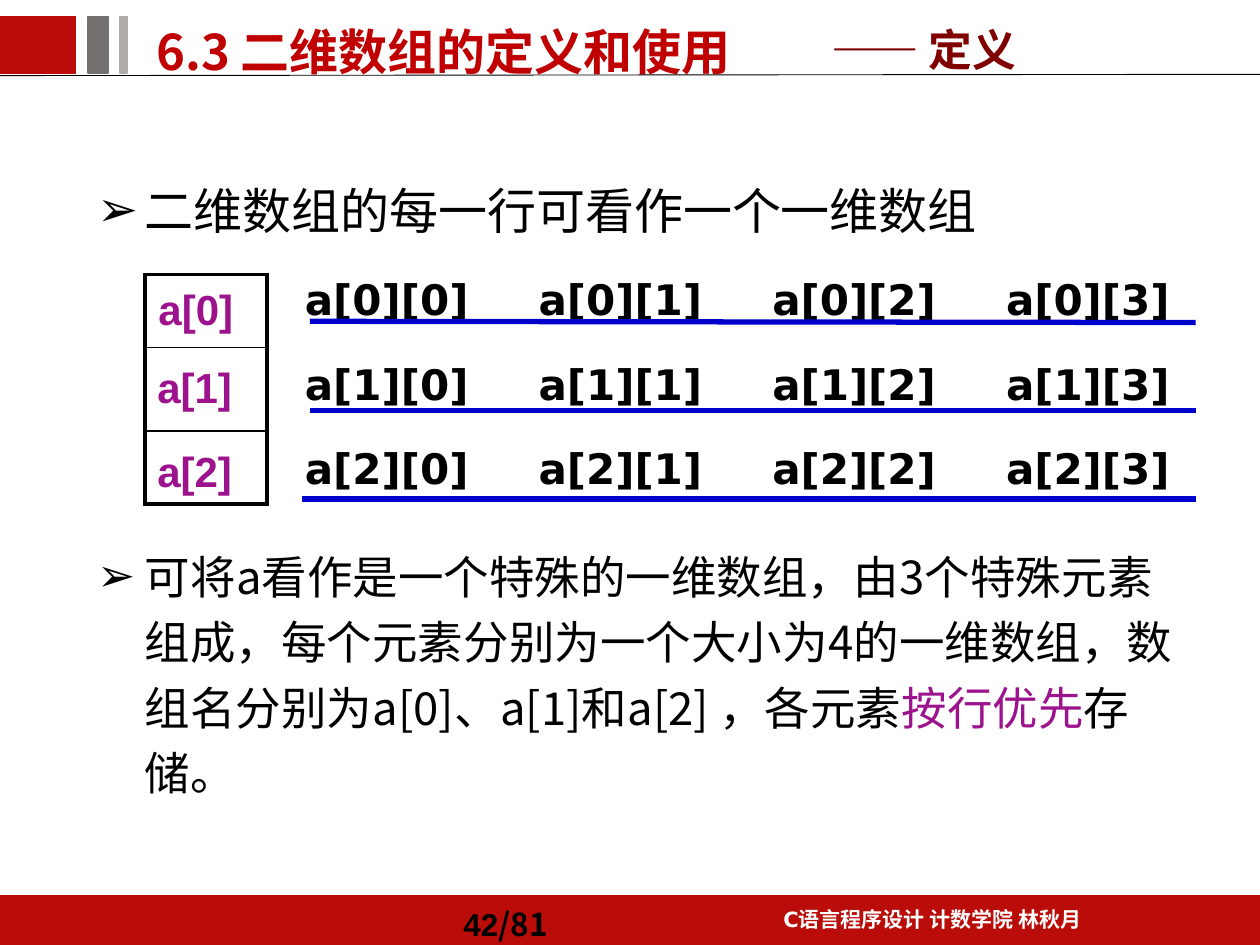
from typing import NamedTuple

from lxml import etree
from pptx import Presentation
from pptx.dml.color import RGBColor
from pptx.enum.shapes import MSO_CONNECTOR, MSO_SHAPE
from pptx.enum.text import MSO_ANCHOR, MSO_AUTO_SIZE, PP_ALIGN
from pptx.oxml.ns import qn
from pptx.util import Inches, Pt

TOP, MIDDLE, BOTTOM = MSO_ANCHOR.TOP, MSO_ANCHOR.MIDDLE, MSO_ANCHOR.BOTTOM
LEFT, CENTER = PP_ALIGN.LEFT, PP_ALIGN.CENTER
RECT, STRAIGHT = MSO_SHAPE.RECTANGLE, MSO_CONNECTOR.STRAIGHT
CJK, ARIAL, DEJAVU = "Noto Sans CJK SC", "Arial", "DejaVu Sans"
RED, BLACK, PURPLE, BLUE = "BA0D09", "000000", "9D138D", "0000CC"
NO_STYLE = "{2D5ABB26-0587-4C30-8999-92F81FD0307C}"


class Block(NamedTuple):
    box: tuple
    color: str


class Rule(NamedTuple):
    start: tuple
    end: tuple
    color: str
    width: float


class Label(NamedTuple):
    text: str
    box: tuple
    fmt: dict


def rgb(color: str) -> RGBColor:
    return RGBColor.from_string(color)


def write(p, text: str, size=24, font=ARIAL, color=BLACK, bold=True,
          align=LEFT, spacing=1.2, before=0) -> None:
    """Append one formatted run to a paragraph."""
    p.alignment, p.line_spacing, p.space_before = align, spacing, Pt(before)
    r = p.add_run()
    r.text = text
    f = r.font
    f.size, f.name, f.bold = Pt(size), font, bold
    f.color.rgb = rgb(color)
    etree.SubElement(r._r.get_or_add_rPr(), qn("a:ea")).set("typeface", CJK)


def place(sp, box: tuple) -> None:
    sp.left, sp.top, sp.width, sp.height = map(Inches, box)


def prepare(tf, anchor=TOP) -> None:
    tf.word_wrap, tf.auto_size = True, MSO_AUTO_SIZE.NONE
    tf.vertical_anchor = anchor


def add_label(s, label: Label, anchor=TOP):
    tf = s.shapes.add_textbox(*map(Inches, label.box)).text_frame
    prepare(tf, anchor)
    write(tf.paragraphs[0], label.text, **label.fmt)
    return tf.paragraphs[0]


def add_block(s, block: Block) -> None:
    sp = s.shapes.add_shape(RECT, *map(Inches, block.box))
    sp.shadow.inherit = False
    sp.fill.solid()
    sp.fill.fore_color.rgb = sp.line.color.rgb = rgb(block.color)
    sp.line.width = Pt(1)


def add_rule(s, rule: Rule) -> None:
    line = s.shapes.add_connector(STRAIGHT, *map(Inches, rule.start + rule.end))
    line.line.color.rgb = rgb(rule.color)
    line.line.width = Pt(rule.width)
    etree.SubElement(line._element.spPr, qn("a:effectLst"))


def add_grid(s, box: tuple, heights: list, cols: int):
    """Add a table without style, with equal columns."""
    table = s.shapes.add_table(len(heights), cols, *map(Inches, box)).table
    table.first_row = table.horz_banding = False
    table._tbl.tblPr.find(qn("a:tableStyleId")).text = NO_STYLE
    for row, height in zip(table.rows, heights):
        row.height = Inches(height)
    for cell in table.iter_cells():
        cell.fill.background()
    return table


def set_borders(cell, widths: dict) -> None:
    tcPr = cell._tc.get_or_add_tcPr()
    for i, (side, width) in enumerate(widths.items()):
        ln = etree.Element(qn(f"a:ln{side}"), w=str(Pt(width)))
        fill = etree.SubElement(ln, qn("a:solidFill"))
        etree.SubElement(fill, qn("a:srgbClr"), val=BLACK)
        tcPr.insert(i, ln)


def add_bullet(p) -> None:
    """Set an arrow bullet and keep punctuation inside the margin."""
    pPr = p._p.get_or_add_pPr()
    pPr.set("marL", str(Inches(0.38)))
    pPr.set("indent", str(Inches(-0.38)))
    pPr.set("hangingPunct", "0")
    etree.SubElement(pPr, qn("a:buFont")).set("typeface", ARIAL)
    etree.SubElement(pPr, qn("a:buChar")).set("char", "➢")


BLOCKS = [
    Block((0, 0.13, 0.6, 0.45), RED),
    Block((0.7, 0.13, 0.16, 0.45), "767171"),
    Block((0.95, 0.13, 0.06, 0.45), "AFABAB"),
    Block((0, 7.11, 10, 0.39), RED),
]
ROW_RULES = [
    Rule((2.46, 2.55), (9.49, 2.56), BLUE, 3),
    Rule((2.46, 3.26), (9.49, 3.26), BLUE, 3),
    Rule((2.4, 3.96), (9.49, 3.96), BLUE, 3),
]
ROW_NAMES = [
    Label(f"a[{i}]", (x, y, 1.17, 0.5), dict(color=PURPLE, spacing=1.0))
    for i, (x, y) in enumerate([(1.16, 2.2), (1.15, 2.82), (1.15, 3.49)])
]


def main() -> None:
    prs = Presentation()
    prs.slide_width, prs.slide_height = Inches(10), Inches(7.5)
    s = prs.slides.add_slide(prs.slide_layouts[1])

    # Header and footer bands
    for block in BLOCKS:
        add_block(s, block)
    add_rule(s, Rule((0, 0.6), (10, 0.59), BLACK, 0.5))

    # Footer text and page number
    course = dict(size=12, color="FFFFFF", align=CENTER)
    p = add_label(s, Label("C", (5.63, 7.11, 3.54, 0.34), dict(course, font=DEJAVU)))
    write(p, "语言程序设计 计数学院 林秋月", **course)
    p = add_label(s, Label("42", (3.58, 7.11, 1.42, 0.39), dict(size=18)), MIDDLE)
    write(p, "/81", size=18, font=CJK)

    # Title and subtitle
    title = s.shapes.title
    place(title, (1.14, 0.03, 5.55, 0.67))
    prepare(title.text_frame)
    write(title.text_frame.paragraphs[0], "6.3 二维数组的定义和使用",
          size=28, font=CJK, color="C00000")
    add_label(s, Label("—— 定义", (6.5, 0.13, 3.35, 0.52),
                       dict(size=25, color="800000", spacing=1.0)), BOTTOM)

    # Bullets, with room for the array between them
    body = s.placeholders[1]
    place(body, (0.67, 1.29, 8.86, 4.96))
    tf = body.text_frame
    prepare(tf)
    first, second = tf.paragraphs[0], tf.add_paragraph()
    write(first, "二维数组的每一行可看作一个一维数组", size=28, font=CJK, bold=False)
    for text, color in [
        ("可将a看作是一个特殊的一维数组，由3个特殊元素组成，每个元素分别为"
         "一个大小为4的一维数组，数组名分别为a[0]、a[1]和a[2] ，各元素", BLACK),
        ("按行优先", PURPLE),
        ("存储。", BLACK),
    ]:
        write(second, text, size=26, font=CJK, color=color, bold=False, before=170.5)
    for p in (first, second):
        add_bullet(p)

    # Array elements
    elements = add_grid(s, (2.32, 2.07, 7.42, 2.05), [0.71, 0.63, 0.71], 4)
    for i in range(3):
        for j in range(4):
            cell = elements.cell(i, j)
            cell.vertical_anchor = MIDDLE
            write(cell.text_frame.paragraphs[0], f"a[{i}][{j}]",
                  font=DEJAVU, spacing=0.7)

    # Row names, underlines and the frame of the names
    for label in ROW_NAMES:
        add_label(s, label)
    for rule in ROW_RULES:
        add_rule(s, rule)
    frame = add_grid(s, (1.15, 2.18, 0.97, 1.82), [0.58, 0.66, 0.58], 1)
    for i in range(3):
        set_borders(frame.cell(i, 0), {
            "L": 2.25, "R": 2.25,
            "T": 2.25 if i == 0 else 1, "B": 2.25 if i == 2 else 1})

    prs.save("out.pptx")


if __name__ == "__main__":
    main()
